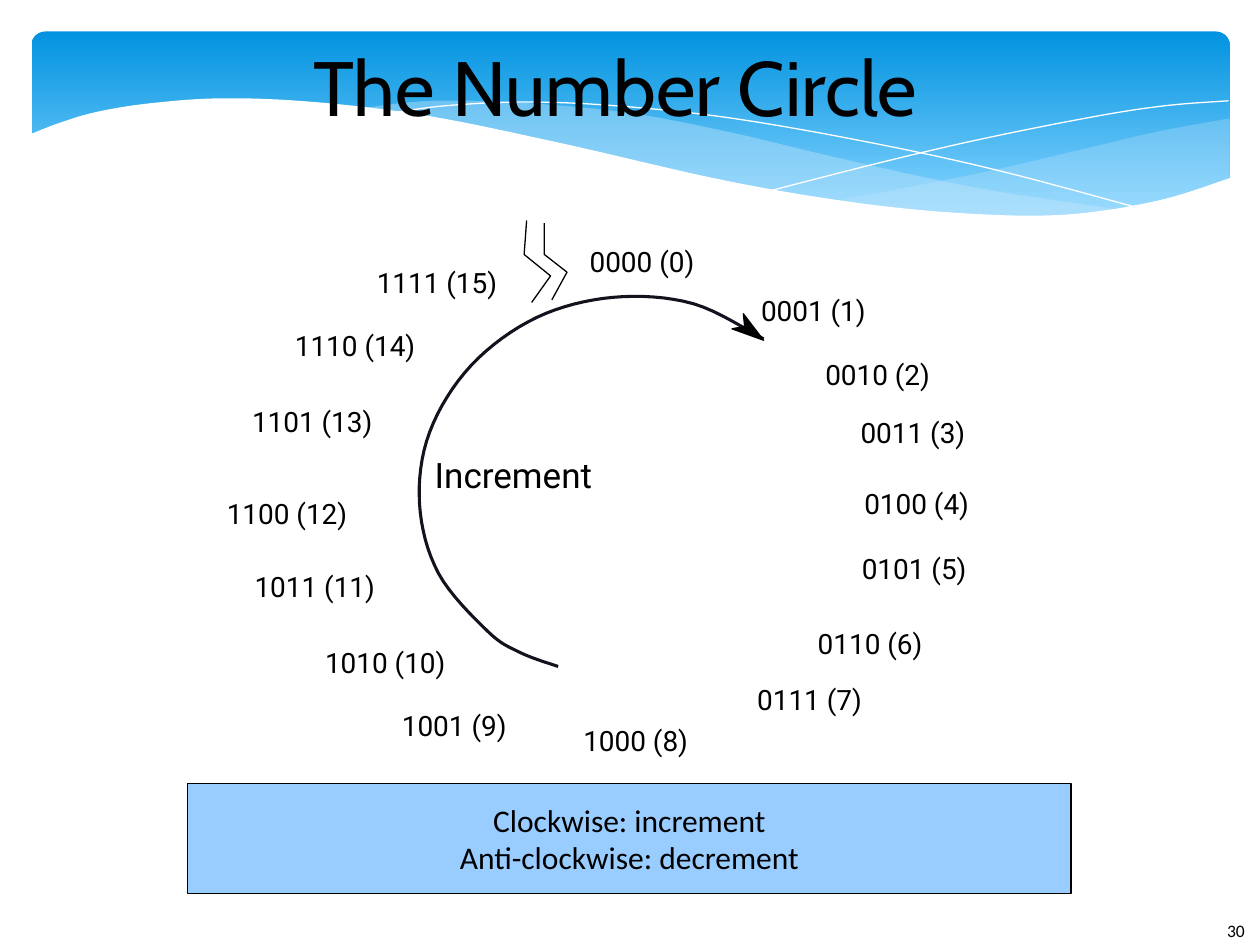
from dataclasses import dataclass
from lxml import etree
from pptx import Presentation
from pptx.dml.color import RGBColor
from pptx.enum.shapes import MSO_SHAPE
from pptx.enum.text import MSO_ANCHOR, MSO_AUTO_SIZE, PP_ALIGN
from pptx.oxml.ns import qn
from pptx.util import Inches, Pt

ROUND, RECT = MSO_SHAPE.ROUNDED_RECTANGLE, MSO_SHAPE.RECTANGLE
MID, TOP = MSO_ANCHOR.MIDDLE, MSO_ANCHOR.TOP
LEFT, MIDDLE = PP_ALIGN.LEFT, PP_ALIGN.CENTER
GROW, FIXED = MSO_AUTO_SIZE.SHAPE_TO_FIT_TEXT, MSO_AUTO_SIZE.NONE


@dataclass(frozen=True)
class Theme:
    ink: str = "000000"
    arc: str = "15111D"
    white: str = "FFFFFF"
    deep: str = "0293E0"
    sky: str = "83D3FE"
    mist: str = "C6E7FC"
    panel: str = "99CCFF"
    head: str = "Cabin"
    body: str = "Calibri"
    code: str = "Roboto"
    title: int = 44
    word: int = 20
    note: int = 18
    label: int = 16
    page: int = 10


T = Theme()
COLS, ROWS = 100, 75  # square grid cells over the whole slide

# Wave outlines, in grid cells
BACK = [(97.6, 9.4), (92.1, 10.4), (86.1, 11.8), (77.9, 13.7), (66.1, 16)]
BACK_LOW = [(66.1, 16), (73.2, 16.8), (81.4, 17.2), (88.1, 16.9), (92.8, 15.8), (97.6, 14.1)]
FRONT = [(28.6, 8.6), (34.4, 8), (42, 8.2), (50.2, 9), (58.4, 10.6),
         (66.8, 12.6), (77.5, 14.9), (89.3, 16.7)]
FRONT_LOW = [(89.3, 16.7), (82.8, 17.25), (74.8, 17), (66.5, 16.1), (56.6, 14.3),
             (44.9, 11.6), (36.2, 9.7), (28.6, 8.6)]
SWEEP = [(30.9, 9), (35.3, 8.4), (41.6, 8.1), (48.9, 8.4), (58.2, 9.4),
         (69.5, 11.4), (79.5, 13.6), (90.7, 16.6)]
RISE = [(61.3, 15.1), (69.5, 13), (77.6, 11.1), (86.6, 9.3), (92.4, 8.4), (97.5, 8)]
COVER = [(97.7, 14.1), (92, 15.9), (85, 17), (77.8, 17), (68.8, 16.2), (57.9, 14.4),
         (44.7, 11.4), (34, 9.2), (25, 8.1), (17.7, 7.8), (11.9, 8.2), (7.6, 8.9),
         (4.6, 9.8), (2.3, 10.7)]

# Number circle, in grid cells
ARC = [(44.3, 52.9), (41.3, 51.8), (38.7, 50.1), (34.8, 45.5), (33.3, 40), (34.1, 34.3),
       (37.4, 29), (42.6, 25.2), (48.7, 23.6), (55, 24.1), (60.6, 26.9)]
TIP = [(59.1, 25.9), (58.1, 26.1), (60.6, 27), (59, 24.9)]
BREAKS = [[(41.8, 17.5), (41.6, 20.2), (43.7, 21.9), (42.2, 24)],
          [(43.2, 17.7), (43.2, 20.2), (45, 21.6), (43.8, 23.8)]]
SPOTS = [(46.8, 19.4), (60.4, 23.3), (65.5, 28.4), (68.3, 33), (68.6, 38.6), (68.4, 43.8),
         (64.9, 49.7), (60.1, 54.2), (46.3, 57.4), (31.9, 56.2), (25.8, 51.2), (20.2, 45.2),
         (18, 39.4), (20, 32.1), (23.4, 26.1), (29.9, 21.1)]


def cell(n):
    return Inches(n * 10 / COLS)


def smooth(pts, steps=8):
    """Sample a Catmull-Rom curve through the points."""
    ends = [pts[0], *pts, pts[-1]]
    out = [pts[0]]
    for a, b, c, d in zip(ends, ends[1:], ends[2:], ends[3:]):
        for k in range(1, steps + 1):
            t = k / steps
            out.append(tuple(
                (2 * q + (r - p) * t + (2 * p - 5 * q + 4 * r - s) * t ** 2
                 + (3 * q - p - 3 * r + s) * t ** 3) / 2
                for p, q, r, s in zip(a, b, c, d)))
    return out


def paint(shape, fill=None, line=None, wide=0, alpha=None):
    shape.shadow.inherit = False
    if fill:
        shape.fill.solid()
        shape.fill.fore_color.rgb = RGBColor.from_string(fill)
        if alpha:
            hue = shape.fill._xPr.find(".//" + qn("a:srgbClr"))
            etree.SubElement(hue, qn("a:alpha"), val=str(alpha * 1000))
    else:
        shape.fill.background()
    if line:
        shape.line.color.rgb = RGBColor.from_string(line)
        shape.line.width = Pt(wide)
    else:
        shape.line.fill.background()


def trace(shapes, pts, close=False, **look):
    spots = [(cell(x), cell(y)) for x, y in pts]
    pen = shapes.build_freeform(*spots[0], scale=1.0)
    pen.add_line_segments(spots[1:], close=close)
    paint(pen.convert_to_shape(), **look)


def write(shape, lines, font, size, align=LEFT, anchor=TOP, pad=(0, 0), fit=FIXED):
    frame = shape.text_frame
    frame.word_wrap = False
    frame.auto_size = fit
    frame.vertical_anchor = anchor
    frame.margin_left = frame.margin_right = cell(pad[0])
    frame.margin_top = frame.margin_bottom = cell(pad[1])
    for n, text in enumerate(lines):
        para = frame.add_paragraph() if n else frame.paragraphs[0]
        para.alignment = align
        run = para.add_run()
        run.text = text
        run.font.name, run.font.size = font, Pt(size)
        run.font.color.rgb = RGBColor.from_string(T.ink)


def label(shapes, text, x, y, w, h, size=T.label):
    box = shapes.add_textbox(cell(x), cell(y), cell(w), cell(h))
    write(box, [text], T.code, size, fit=GROW)


def banner(shapes):
    base = shapes.add_shape(ROUND, cell(2.5), cell(2.5), cell(95.1), cell(15.6))
    base.adjustments[0] = 0.07
    paint(base)
    base.fill.gradient()
    base.fill.gradient_angle = 270
    for stop, hue, pos in zip(base.fill.gradient_stops, (T.deep, T.sky), (0, 0.9)):
        stop.color.rgb = RGBColor.from_string(hue)
        stop.position = pos
    for top, low, alpha in ((BACK, BACK_LOW, 29), (FRONT, FRONT_LOW, 40)):
        trace(shapes, smooth(top) + smooth(low), True, fill=T.mist, alpha=alpha)
    for curve in (SWEEP, RISE):
        trace(shapes, smooth(curve), line=T.white)
    trace(shapes, smooth(COVER) + [(2.3, 22.4), (97.7, 22.4)], True, fill=T.white)


def heading(shapes):
    title = shapes.title
    title.left, title.top = cell(8.3), cell(1.7)
    title.width, title.height = cell(81.1), cell(10.2)
    write(title, ["The Number Circle"], T.head, T.title, MIDDLE, MID)
    title.element.getparent().append(title.element)  # in front of the banner


def panel(shapes):
    box = shapes.add_shape(RECT, cell(14.9), cell(62.2), cell(70.1), cell(8.7))
    paint(box, T.panel, T.ink)
    write(box, ["Clockwise: increment", "Anti-clockwise: decrement"],
          T.body, T.note, MIDDLE, MID, (1, 0.5))


def circle(shapes):
    for n, (x, y) in enumerate(SPOTS):
        label(shapes, f"{n:04b} ({n})", x, y, 9.3 if n < 10 else 10.5, 3)
    trace(shapes, smooth(ARC), line=T.arc, wide=1.75)
    trace(shapes, TIP, True, fill=T.ink, line=T.ink)
    for crack in BREAKS:
        trace(shapes, crack, line=T.ink)
    label(shapes, "Increment", 34.5, 36, 14.2, 3.9, T.word)


def page(shapes):
    box = shapes.add_textbox(cell(96.4), cell(72.5), cell(3.6), cell(2.5))
    write(box, ["30"], T.body, T.page, pad=(1, 0.5))


def main():
    deck = Presentation()
    deck.slide_width, deck.slide_height = cell(COLS), cell(ROWS)
    shapes = deck.slides.add_slide(deck.slide_layouts[5]).shapes
    for part in (banner, heading, panel, circle, page):
        part(shapes)
    deck.save("out.pptx")


main()
